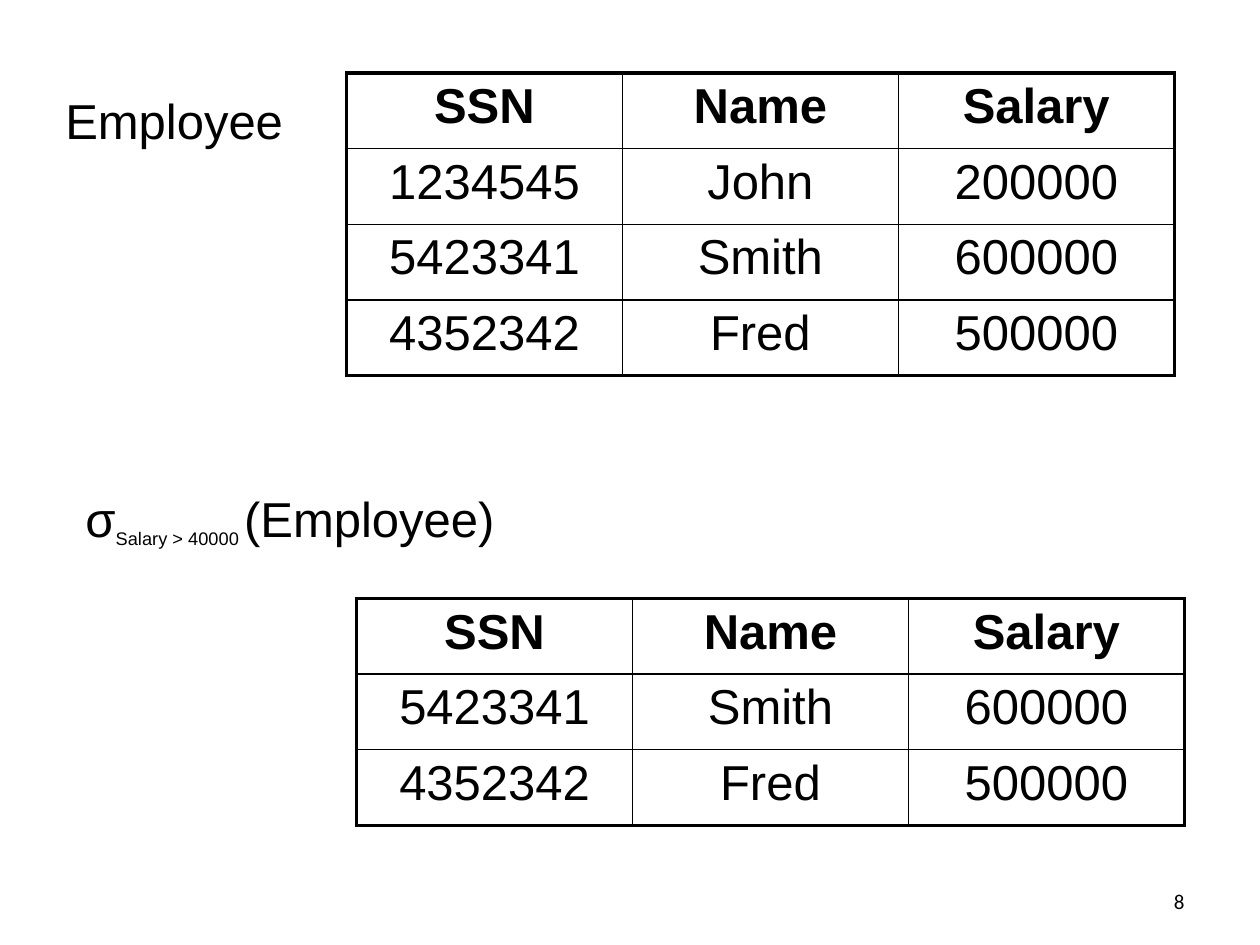
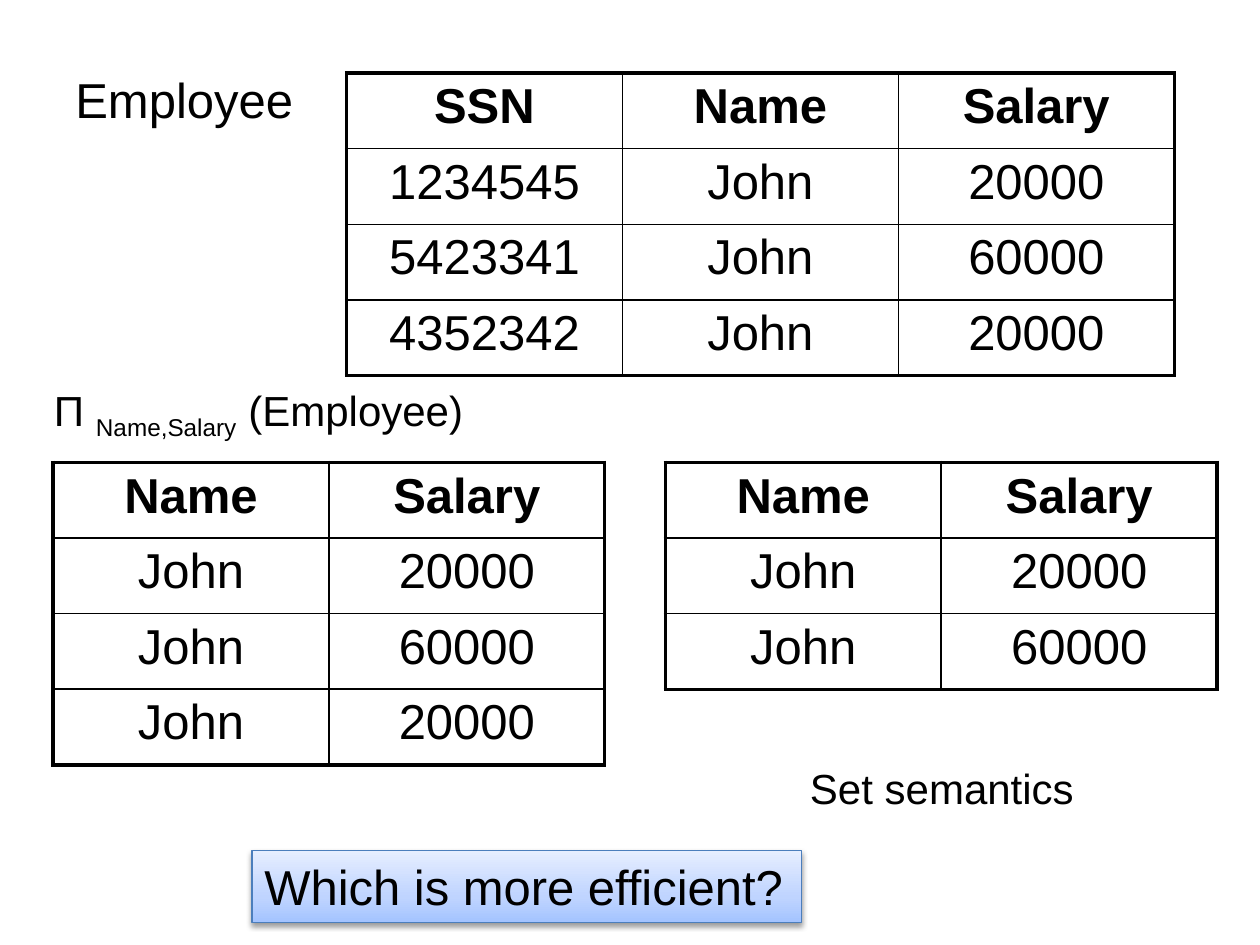
from collections import namedtuple

from pptx import Presentation
from pptx import util as u
from pptx.dml.color import RGBColor
from pptx.enum import shapes, text
from pptx.oxml import parse_xml
from pptx.oxml.ns import nsdecls

BLACK = RGBColor(0x00, 0x00, 0x00)
BUTTON_EDGE = RGBColor(0x4B, 0x7E, 0xBC)
BUTTON_STOPS = [
    (0, RGBColor(0xA4, 0xC4, 0xFF)),
    (35, RGBColor(0xBF, 0xD4, 0xFF)),
    (100, RGBColor(0xE6, 0xEE, 0xFF)),
]
BODY_FONT = "Arial"
NUMBER_FONT = "Calibri"
LARGE, MEDIUM, SMALL = 28, 24, 18
COLUMN_WIDTH = 2.19
ROW_HEIGHT = 0.6
OUTER_LINE, INNER_LINE = 2.25, 1

Box = namedtuple("Box", "left top width height")


def inches(box):
    return [u.Inches(length) for length in box]


def add_run(paragraph, words, size, bold=False, font=BODY_FONT, baseline=0):
    run = paragraph.add_run()
    run.text = words
    run.font.size = u.Pt(size)
    run.font.name = font
    run.font.bold = bold
    run.font.color.rgb = BLACK
    if baseline:
        run.font._element.set("baseline", str(baseline * 1000))


def space_before(paragraph, percent):
    paragraph._p.get_or_add_pPr().append(parse_xml(
        f'<a:spcBef {nsdecls("a")}><a:spcPct val="{percent * 1000}"/></a:spcBef>'))


def fit_to_text(frame):
    frame.word_wrap = False
    frame.auto_size = text.MSO_AUTO_SIZE.SHAPE_TO_FIT_TEXT


def add_label(slide, box, words, size):
    frame = slide.shapes.add_textbox(*inches(box)).text_frame
    fit_to_text(frame)
    add_run(frame.paragraphs[0], words, size)


def add_expression(slide, box, operator, condition, operand, size, condition_size):
    frame = slide.shapes.add_textbox(*inches(box)).text_frame
    fit_to_text(frame)
    paragraph = frame.paragraphs[0]
    space_before(paragraph, 20)
    add_run(paragraph, operator, size)
    add_run(paragraph, condition, condition_size, baseline=-25)
    add_run(paragraph, operand, size)


def set_borders(cell, outer_sides):
    properties = cell._tc.get_or_add_tcPr()
    for side in "LRTB":
        width = u.Pt(OUTER_LINE if side in outer_sides else INNER_LINE)
        properties.append(parse_xml(
            f'<a:ln{side} {nsdecls("a")} w="{int(width)}"><a:solidFill>'
            f'<a:srgbClr val="{BLACK}"/></a:solidFill></a:ln{side}>'))


def add_relation(slide, left, top, rows):
    row_count, column_count = len(rows), len(rows[0])
    box = Box(left, top, COLUMN_WIDTH * column_count, ROW_HEIGHT * row_count)
    table = slide.shapes.add_table(row_count, column_count, *inches(box)).table
    table.first_row = False
    table.horz_banding = False
    for column in table.columns:
        column.width = u.Inches(COLUMN_WIDTH)
    for row_index, row in enumerate(rows):
        table.rows[row_index].height = u.Inches(ROW_HEIGHT)
        for column_index, value in enumerate(row):
            cell = table.cell(row_index, column_index)
            edges = {
                "L": column_index == 0,
                "R": column_index == column_count - 1,
                "T": row_index == 0,
                "B": row_index == row_count - 1,
            }
            set_borders(cell, [side for side, outer in edges.items() if outer])
            cell.fill.background()
            paragraph = cell.text_frame.paragraphs[0]
            paragraph.alignment = text.PP_ALIGN.CENTER
            space_before(paragraph, 20)
            add_run(paragraph, value, LARGE, bold=row_index == 0)


def add_question(slide, box, words):
    shape = slide.shapes.add_shape(shapes.MSO_SHAPE.RECTANGLE, *inches(box))
    shape.fill.gradient()
    shape.fill.gradient_angle = 90
    stop_list = shape._element.spPr.find(".//{*}gsLst")
    for stop in list(stop_list):
        stop_list.remove(stop)
    for position, color in BUTTON_STOPS:
        stop_list.append(parse_xml(
            f'<a:gs {nsdecls("a")} pos="{position * 1000}"><a:srgbClr val="{color}"/></a:gs>'))
    shape.line.color.rgb = BUTTON_EDGE
    shape.line.width = u.Pt(0.75)
    shape.shadow.inherit = False
    shape._element.spPr.find("{*}effectLst").append(parse_xml(
        f'<a:outerShdw {nsdecls("a")} blurRad="{int(u.Pt(3.1))}" dist="{int(u.Pt(1.6))}" '
        f'dir="5400000" rotWithShape="0"><a:srgbClr val="{BLACK}">'
        f'<a:alpha val="38000"/></a:srgbClr></a:outerShdw>'))
    frame = shape.text_frame
    fit_to_text(frame)
    frame.vertical_anchor = text.MSO_ANCHOR.TOP
    paragraph = frame.paragraphs[0]
    paragraph.alignment = text.PP_ALIGN.LEFT
    add_run(paragraph, words, LARGE)


def add_slide_number(slide, box, number):
    frame = slide.shapes.add_textbox(*inches(box)).text_frame
    frame.word_wrap = True
    frame.vertical_anchor = text.MSO_ANCHOR.MIDDLE
    paragraph = frame.paragraphs[0]
    paragraph.alignment = text.PP_ALIGN.RIGHT
    add_run(paragraph, number, 12, font=NUMBER_FONT)


def add_employee(slide, label_left, label_top, rows):
    add_relation(slide, 2.75, 0.58, rows)
    add_label(slide, Box(label_left, label_top, 1.95, 0.57), "Employee", LARGE)


def build_selection(slide):
    header = ("SSN", "Name", "Salary")
    john = ("1234545", "John", "200000")
    selected = [("5423341", "Smith", "600000"), ("4352342", "Fred", "500000")]
    add_expression(slide, Box(0.58, 3.83, 3.65, 0.57),
                   "σ", "Salary > 40000 ", "(Employee)", LARGE, SMALL)
    add_employee(slide, 0.42, 0.67, [header, john, *selected])
    add_relation(slide, 2.83, 4.75, [header, *selected])
    add_slide_number(slide, Box(7.17, 6.95, 2.33, 0.4), "8")


def build_projection(slide):
    employees = [
        ("SSN", "Name", "Salary"),
        ("1234545", "John", "20000"),
        ("5423341", "John", "60000"),
        ("4352342", "John", "20000"),
    ]
    bag = [row[1:] for row in employees]
    distinct = list(dict.fromkeys(bag))
    add_expression(slide, Box(0.33, 3, 3.66, 0.51),
                   "Π ", "Name,Salary", " (Employee)", MEDIUM, MEDIUM)
    add_employee(slide, 0.5, 0.5, employees)
    add_relation(slide, 0.42, 3.67, bag)
    add_relation(slide, 5.28, 3.67, distinct)
    add_label(slide, Box(6.33, 6, 2.32, 0.5), "Set semantics", MEDIUM)
    add_question(slide, Box(2, 6.75, 4.36, 0.57), "Which is more efficient?")


presentation = Presentation()
presentation.slide_width = u.Inches(10)
presentation.slide_height = u.Inches(7.5)
for build in (build_selection, build_projection):
    build(presentation.slides.add_slide(presentation.slide_layouts[6]))
presentation.save("out.pptx")
